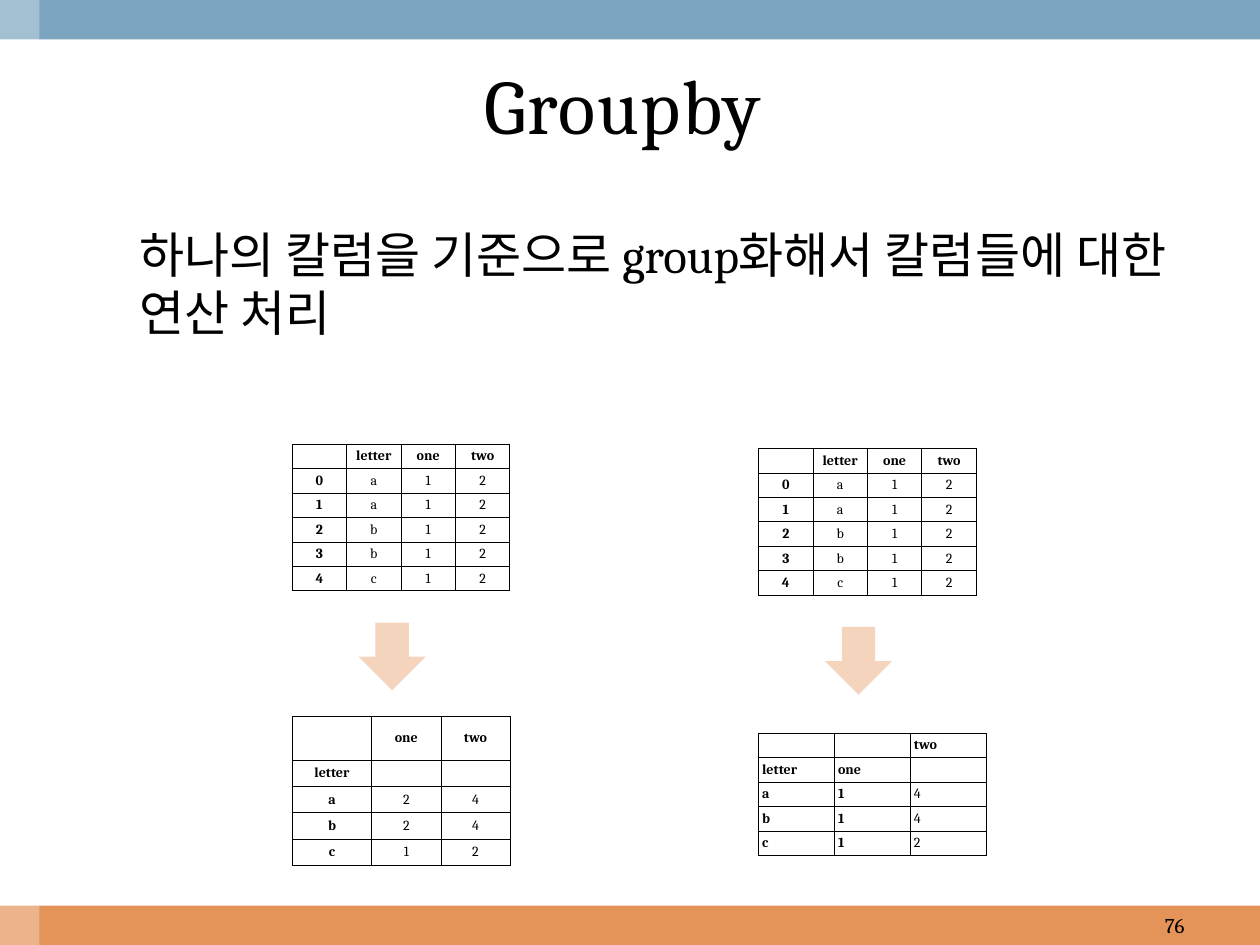
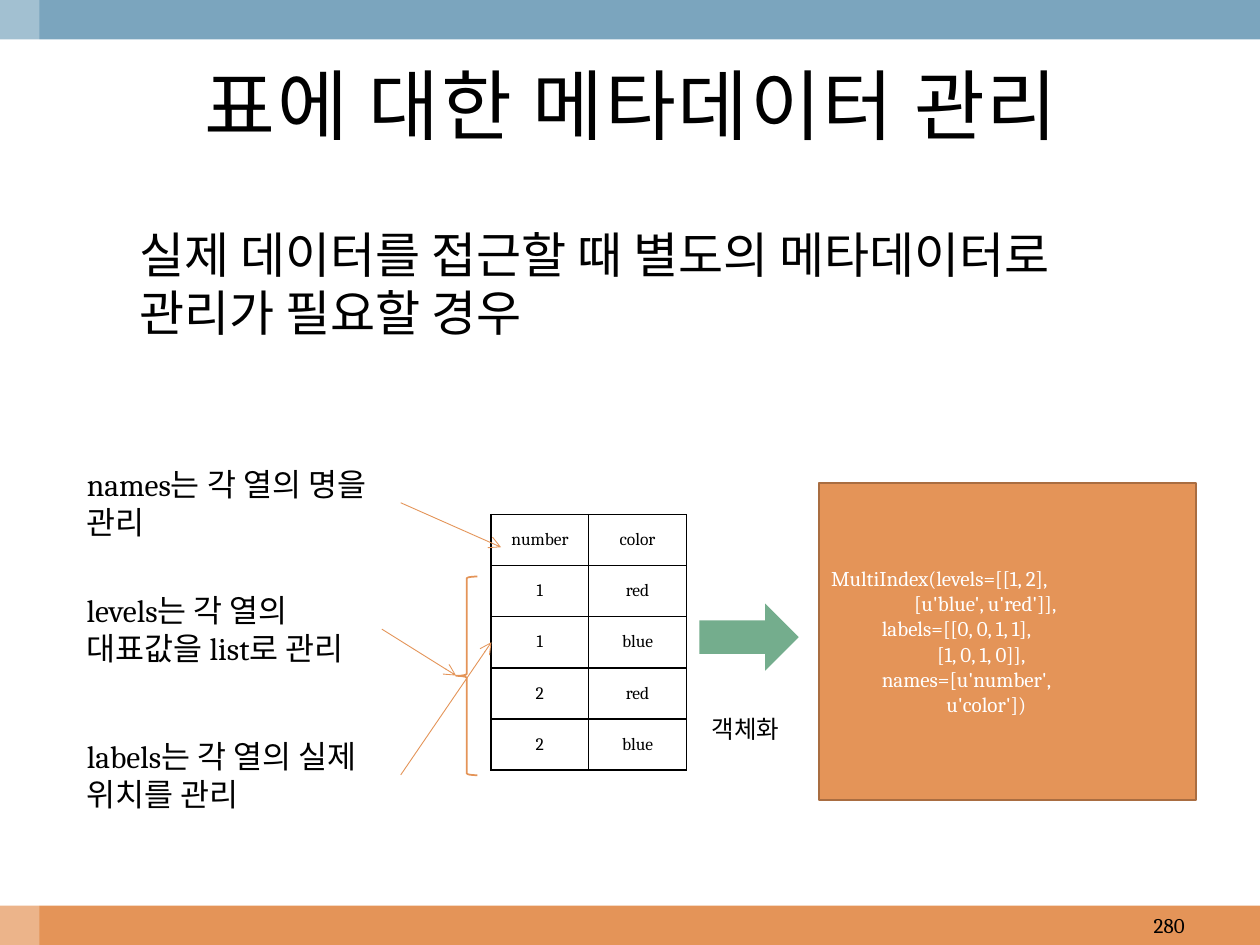
"""Build two slides on grouping a table and on index metadata."""

from dataclasses import dataclass

import pptx
import pptx.dml.color
import pptx.enum.shapes
import pptx.enum.text
import pptx.oxml.ns
import pptx.shapes.autoshape
import pptx.slide
import pptx.text.text
import pptx.util
from lxml import etree

Pt = pptx.util.Pt
qn = pptx.oxml.ns.qn
SHAPE = pptx.enum.shapes.MSO_SHAPE
ALIGN = pptx.enum.text.PP_ALIGN
ANCHOR = pptx.enum.text.MSO_ANCHOR

FONT = "Cambria"
BLACK, WHITE = "000000", "FFFFFF"
ORANGE, BLUE, GREEN = "E49458", "7BA5BE", "74AD8D"
PALE_ORANGE, DARK_ORANGE = "F4D4BC", "A96D41"
SLIDE_WIDTH, SLIDE_HEIGHT, BAND = 720, 540, 22.5


@dataclass(frozen=True)
class Box:
    left: float
    top: float
    width: float
    height: float

    def lengths(self) -> list[pptx.util.Length]:
        return [Pt(n) for n in (self.left, self.top, self.width, self.height)]

    def shifted(self, right: float, down: float) -> "Box":
        return Box(self.left + right, self.top + down, self.width, self.height)


@dataclass(frozen=True)
class Label:
    text: str
    box: Box
    size: float
    align: ALIGN = ALIGN.LEFT
    anchor: ANCHOR = ANCHOR.TOP
    indent: float = 0
    spacing: float = 0


@dataclass(frozen=True)
class Figure:
    kind: SHAPE
    box: Box
    fill: str | None = None
    line: str | None = None
    line_width: float = 1


@dataclass(frozen=True)
class Pointer:
    start: tuple[float, float]
    end: tuple[float, float]


@dataclass(frozen=True)
class Grid:
    left: float
    top: float
    columns: list[float]
    heights: list[float]
    rows: list[list[str]]
    header_rows: int = 0
    header_columns: int = 0
    size: float = 8
    border: float = 0.6
    inset: float = 2
    align: ALIGN = ALIGN.CENTER
    fill: str | None = WHITE


def color(value: str) -> pptx.dml.color.RGBColor:
    return pptx.dml.color.RGBColor.from_string(value)


def add_run(
    paragraph: pptx.text.text._Paragraph,
    text: str,
    size: float,
    ink: str = BLACK,
    bold: bool = False,
) -> pptx.text.text._Run:
    run = paragraph.add_run()
    run.text = text
    run.font.name = FONT
    run.font.size = Pt(size)
    run.font.bold = bold
    run.font.color.rgb = color(ink)
    return run


def draw_label(slide: pptx.slide.Slide, label: Label) -> None:
    frame = slide.shapes.add_textbox(*label.box.lengths()).text_frame
    frame.word_wrap = True
    frame.vertical_anchor = label.anchor
    paragraph = frame.paragraphs[0]
    paragraph.alignment = label.align
    if label.indent:
        paragraph._p.get_or_add_pPr().set("marL", str(Pt(label.indent)))
    run = add_run(paragraph, label.text, label.size)
    if label.spacing:
        run._r.get_or_add_rPr().set("spc", str(round(label.spacing * 100)))


def draw_figure(
    slide: pptx.slide.Slide, figure: Figure
) -> pptx.shapes.autoshape.Shape:
    shape = slide.shapes.add_shape(figure.kind, *figure.box.lengths())
    shape.shadow.inherit = False
    if figure.fill:
        shape.fill.solid()
        shape.fill.fore_color.rgb = color(figure.fill)
    else:
        shape.fill.background()
    if figure.line:
        shape.line.color.rgb = color(figure.line)
        shape.line.width = Pt(figure.line_width)
    else:
        shape.line.fill.background()
    return shape


def draw_pointer(slide: pptx.slide.Slide, pointer: Pointer) -> None:
    ends = [Pt(n) for n in pointer.start + pointer.end]
    connector = slide.shapes.add_connector(
        pptx.enum.shapes.MSO_CONNECTOR.STRAIGHT, *ends
    )
    connector.line.color.rgb = color(ORANGE)
    connector.line.width = Pt(0.5)
    properties = connector._element.spPr
    etree.SubElement(properties.find(qn("a:ln")), qn("a:tailEnd"), type="arrow")
    etree.SubElement(properties, qn("a:effectLst"))


def draw_grid(slide: pptx.slide.Slide, grid: Grid) -> None:
    box = Box(grid.left, grid.top, sum(grid.columns), sum(grid.heights))
    table = slide.shapes.add_table(
        len(grid.rows), len(grid.columns), *box.lengths()
    ).table
    table.first_row = table.horz_banding = False
    for column, width in zip(table.columns, grid.columns):
        column.width = Pt(width)
    for row, height in zip(table.rows, grid.heights):
        row.height = Pt(height)
    for r, texts in enumerate(grid.rows):
        for c, text in enumerate(texts):
            cell = table.cell(r, c)
            cell.margin_left = cell.margin_right = Pt(grid.inset)
            cell.margin_top = cell.margin_bottom = Pt(grid.inset)
            cell.vertical_anchor = ANCHOR.MIDDLE
            paragraph = cell.text_frame.paragraphs[0]
            paragraph.alignment = grid.align
            if text:
                bold = r < grid.header_rows or c < grid.header_columns
                add_run(paragraph, text, grid.size, bold=bold)
            else:
                etree.SubElement(
                    paragraph._p, qn("a:endParaRPr"), sz=str(round(grid.size * 100))
                )
            properties = cell._tc.get_or_add_tcPr()
            for side in ("lnL", "lnR", "lnT", "lnB"):
                edge = etree.SubElement(
                    properties, qn(f"a:{side}"), w=str(Pt(grid.border))
                )
                paint = etree.SubElement(edge, qn("a:solidFill"))
                etree.SubElement(paint, qn("a:srgbClr"), val=BLACK)
            if grid.fill:
                cell.fill.solid()
                cell.fill.fore_color.rgb = color(grid.fill)
            else:
                cell.fill.background()


def start_slide(
    deck: pptx.presentation.Presentation, title: str, summary: str, number: int
) -> pptx.slide.Slide:
    slide = deck.slides.add_slide(deck.slide_layouts[6])
    footer_top = SLIDE_HEIGHT - BAND
    for top, fill in ((footer_top, ORANGE), (0, BLUE)):
        band = Box(0, top, SLIDE_WIDTH, BAND)
        draw_figure(slide, Figure(SHAPE.RECTANGLE, band, fill))
    edge_strip = draw_figure(
        slide, Figure(SHAPE.RECTANGLE, Box(0, 0, BAND, SLIDE_HEIGHT), WHITE)
    )
    tint = edge_strip._element.spPr.find(qn("a:solidFill")).find(qn("a:srgbClr"))
    etree.SubElement(tint, qn("a:alpha"), val="30000")
    for label in (
        Label(summary, Box(36.5, 124.5, 648, 72), 28, indent=36),
        Label(str(number), Box(516, footer_top, 168, BAND), 12,
              ALIGN.RIGHT, ANCHOR.MIDDLE),
        Label(title, Box(24, 22.5, 674, 74), 44,
              ALIGN.CENTER, ANCHOR.MIDDLE, spacing=1),
    ):
        draw_label(slide, label)
    return slide


def build_groupby(deck: pptx.presentation.Presentation) -> None:
    slide = start_slide(
        deck, "Groupby ",
        "하나의 칼럼을 기준으로 group화해서 칼럼들에 대한 연산 처리", 76,
    )
    records = [["", "letter", "one", "two"]]
    records += [[str(i), letter, "1", "2"] for i, letter in enumerate("aabbc")]
    by_letter = Grid(
        167, 409.2, [45.5, 39.5, 39.5], [25.2] + [15] * 4,
        [["", "one", "two"], ["letter", "", ""],
         ["a", "2", "4"], ["b", "2", "4"], ["c", "1", "2"]],
        header_rows=2, header_columns=1,
    )
    by_letter_and_one = Grid(
        433.5, 419, [43.4] * 3, [14] * 5,
        [["", "", "two"], ["letter", "one", ""],
         ["a", "1", "4"], ["b", "1", "4"], ["c", "1", "2"]],
        header_rows=2, header_columns=2, align=ALIGN.LEFT,
    )
    step = Box(205, 355.8, 38.2, 38.6)
    for result, down in ((by_letter, 0), (by_letter_and_one, 2.5)):
        draw_grid(slide, Grid(result.left, 253.8 + down, [31.1] * 4, [14] * 6,
                              records, header_rows=1, header_columns=1))
        right = result.left - by_letter.left
        draw_figure(
            slide, Figure(SHAPE.DOWN_ARROW, step.shifted(right, down), PALE_ORANGE)
        )
        draw_grid(slide, result)


def build_metadata(deck: pptx.presentation.Presentation) -> None:
    slide = start_slide(
        deck, "표에 대한 메타데이터 관리",
        "실제 데이터를 접근할 때 별도의 메타데이터로 관리가 필요할 경우", 280,
    )
    code = [
        "MultiIndex(levels=[[1, 2],",
        "                  [u'blue', u'red']],",
        "           labels=[[0, 0, 1, 1],",
        "                       [1, 0, 1, 0]],",
        "           names=[u'number',",
        "                         u'color'])",
    ]
    code_box = draw_figure(slide, Figure(
        SHAPE.RECTANGLE, Box(467.8, 275.8, 215.5, 181.2), ORANGE, DARK_ORANGE, 1.25
    ))
    frame = code_box.text_frame
    frame.word_wrap = True
    frame.vertical_anchor = ANCHOR.MIDDLE
    for i, line in enumerate(code):
        paragraph = frame.add_paragraph() if i else frame.paragraphs[0]
        paragraph.alignment = ALIGN.LEFT
        add_run(paragraph, line, 12, WHITE)

    draw_grid(slide, Grid(
        280.6, 294, [55.8] * 2, [29.2] * 5,
        [["number", "color"], ["1", "red"], ["1", "blue"],
         ["2", "red"], ["2", "blue"]],
        size=10, border=1, inset=3.6, fill=None,
    ))
    for text, top, width in (
        ("names는 각 열의 명을 관리", 262, 186.5),
        ("levels는 각 열의 대표값을 list로 관리", 334.4, 175.7),
        ("labels는 각 열의 실제 위치를 관리", 417.8, 186.5),
    ):
        draw_label(slide, Label(text, Box(42.5, top, width, 51), 18))
    for pointer in (
        Pointer((229, 287.3), (286.3, 312.7)),
        Pointer((229, 442.8), (280.8, 367)),
        Pointer((218.2, 359.5), (260.6, 386)),
    ):
        draw_pointer(slide, pointer)
    draw_figure(
        slide, Figure(SHAPE.LEFT_BRACE, Box(260.6, 329.5, 12.2, 113.5), line=ORANGE)
    )
    draw_figure(
        slide, Figure(SHAPE.RIGHT_ARROW, Box(399.6, 345, 56.8, 38.2), GREEN)
    )
    draw_label(slide, Label("객체화", Box(399.6, 404.6, 67.7, 24.5), 14))


def main() -> None:
    deck = pptx.Presentation()
    deck.slide_width, deck.slide_height = Pt(SLIDE_WIDTH), Pt(SLIDE_HEIGHT)
    build_groupby(deck)
    build_metadata(deck)
    deck.save("out.pptx")


if __name__ == "__main__":
    main()
